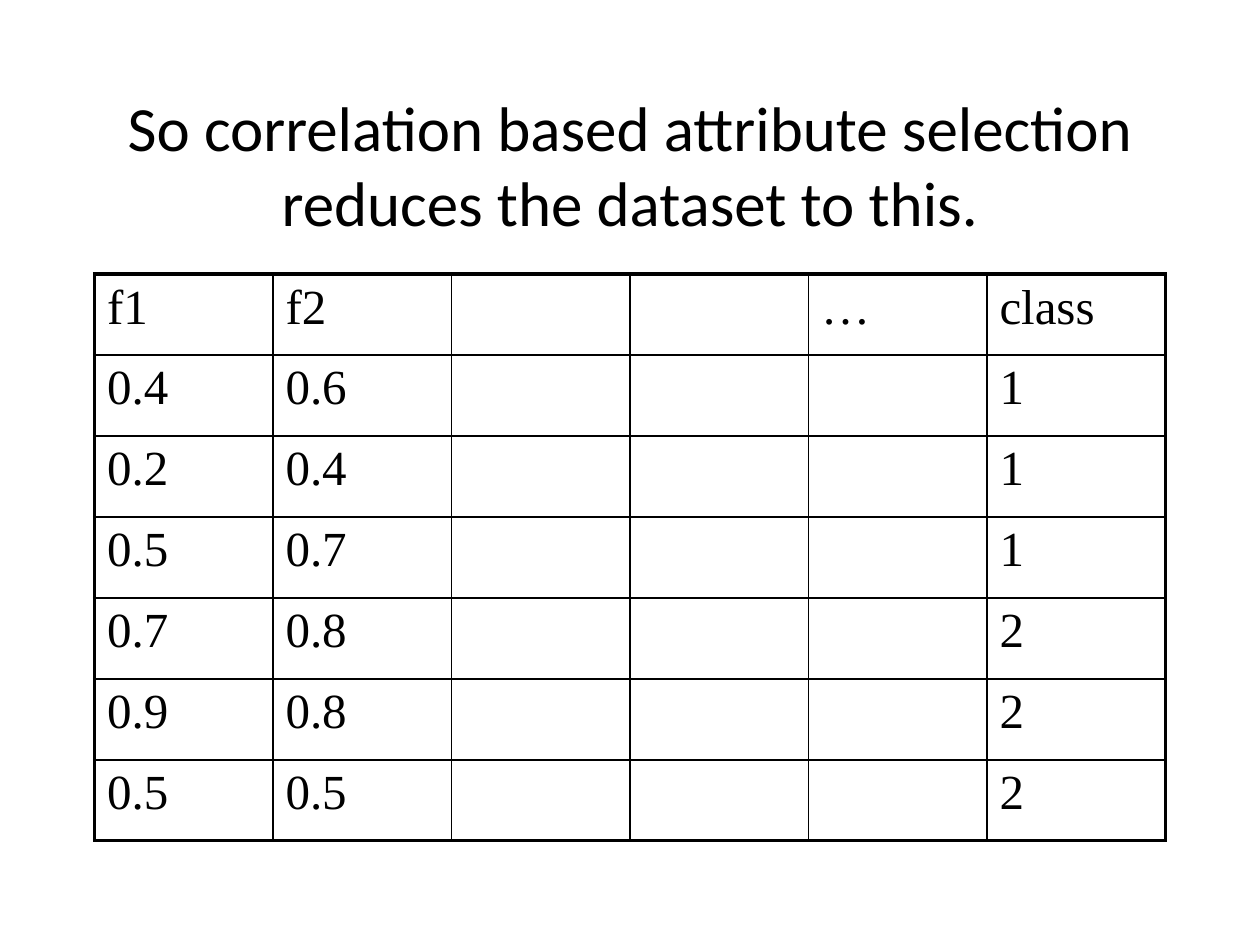
from lxml import etree
from pptx import Presentation
from pptx import util as u
from pptx.dml.color import RGBColor
from pptx.enum import text
from pptx.oxml import ns

COLORS = {"ink": "000000", "paper": "FFFFFF"}
WIDTH, HEIGHT = u.Inches(10), u.Inches(7.5)
MARGIN = 0.075
TITLE = "So correlation based attribute selection reduces the dataset to this."
TITLE_FONT = {"name": "Calibri", "size": u.Pt(36)}
CELL_FONT = {"name": "Times New Roman", "size": u.Pt(28)}
OUTER, INNER = 2.25, 1
DATASET = [
    ["f1", "f2", "", "", "…", "class"],
    ["0.4", "0.6", "", "", "", "1"],
    ["0.2", "0.4", "", "", "", "1"],
    ["0.5", "0.7", "", "", "", "1"],
    ["0.7", "0.8", "", "", "", "2"],
    ["0.9", "0.8", "", "", "", "2"],
    ["0.5", "0.5", "", "", "", "2"],
]


def set_attributes(target, values):
    for name, value in values.items():
        setattr(target, name, value)


def format_font(font, values):
    set_attributes(font, values)
    font.color.rgb = RGBColor.from_string(COLORS["ink"])


def box(top, height):
    return {
        "left": int(WIDTH * MARGIN),
        "top": int(HEIGHT * top),
        "width": int(WIDTH * (1 - 2 * MARGIN)),
        "height": int(HEIGHT * height),
    }


def add_title(slide):
    title = slide.shapes.title
    set_attributes(title, box(0.09, 1 / 6))
    frame = title.text_frame
    frame.text = TITLE
    set_attributes(frame, {
        "word_wrap": True,
        "auto_size": text.MSO_AUTO_SIZE.NONE,
        "vertical_anchor": text.MSO_ANCHOR.MIDDLE,
    })
    paragraph = frame.paragraphs[0]
    paragraph.alignment = text.PP_ALIGN.CENTER
    format_font(paragraph.runs[0].font, TITLE_FONT)


def set_borders(cell, widths):
    properties = cell._tc.get_or_add_tcPr()
    for position, (side, width) in enumerate(widths.items()):
        line = etree.Element(ns.qn(f"a:ln{side}"), w=str(u.Pt(width)))
        fill = etree.SubElement(line, ns.qn("a:solidFill"))
        etree.SubElement(fill, ns.qn("a:srgbClr"), val=COLORS["ink"])
        properties.insert(position, line)


def set_space_before(paragraph, percent):
    properties = paragraph._p.get_or_add_pPr()
    spacing = etree.SubElement(properties, ns.qn("a:spcBef"))
    etree.SubElement(spacing, ns.qn("a:spcPct"), val=str(percent * 1000))


def fill_cell(cell, value):
    cell.fill.background()
    if value:
        cell.text = value
        paragraph = cell.text_frame.paragraphs[0]
        set_space_before(paragraph, 20)
        format_font(paragraph.runs[0].font, CELL_FONT)


def add_dataset(slide):
    rows, columns = len(DATASET), len(DATASET[0])
    table = slide.shapes.add_table(rows, columns, **box(0.29, 0.6)).table
    set_attributes(table, {"first_row": False, "horz_banding": False})
    for row, values in enumerate(DATASET):
        for column, value in enumerate(values):
            cell = table.cell(row, column)
            fill_cell(cell, value)
            edges = {
                "L": column == 0,
                "R": column == columns - 1,
                "T": row == 0,
                "B": row == rows - 1,
            }
            set_borders(cell, {side: OUTER if outer else INNER
                               for side, outer in edges.items()})


def main():
    presentation = Presentation()
    set_attributes(presentation, {"slide_width": WIDTH, "slide_height": HEIGHT})
    slide = presentation.slides.add_slide(
        presentation.slide_layouts.get_by_name("Title Only"))
    background = slide.background.fill
    background.solid()
    background.fore_color.rgb = RGBColor.from_string(COLORS["paper"])
    add_title(slide)
    add_dataset(slide)
    presentation.save("out.pptx")


if __name__ == "__main__":
    main()
